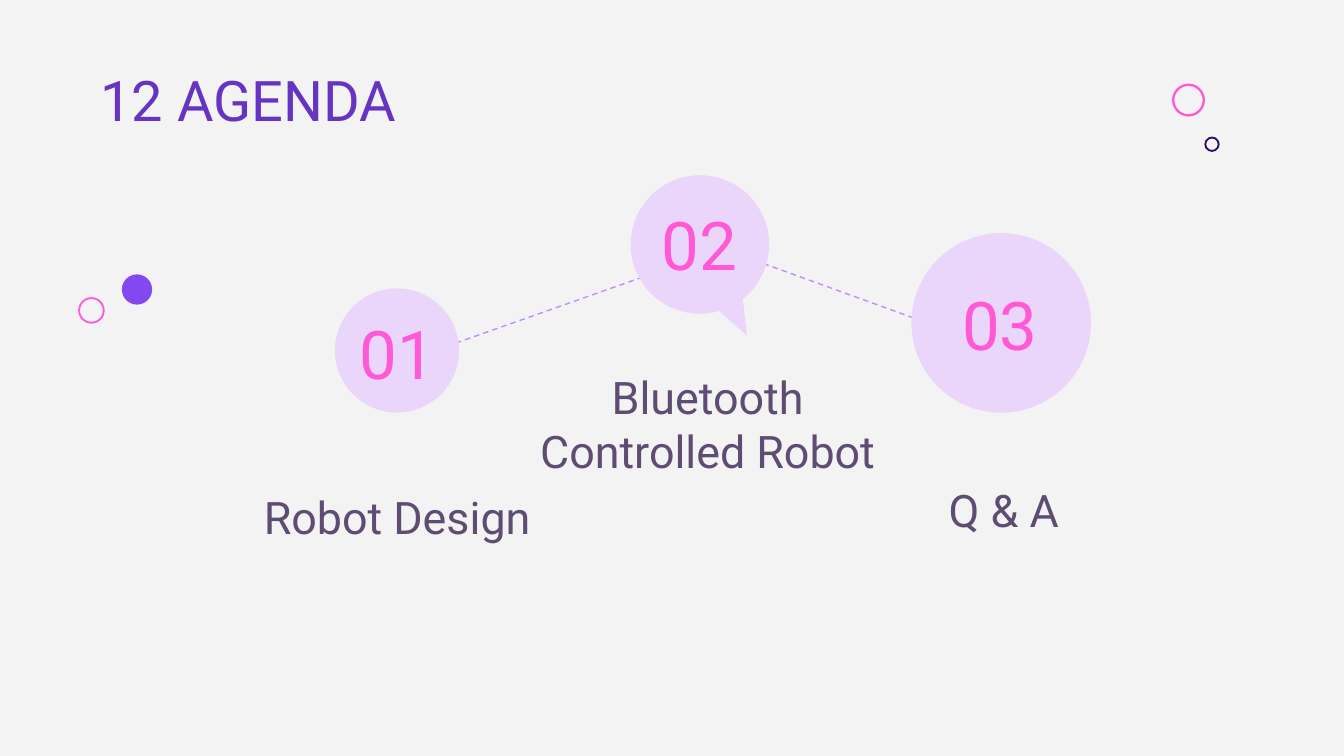
from pptx import Presentation
from pptx.dml.color import RGBColor
from pptx.enum.dml import MSO_LINE
from pptx.enum.shapes import MSO_CONNECTOR, MSO_SHAPE as SHAPE
from pptx.enum.text import MSO_ANCHOR as ANCHOR, PP_ALIGN as ALIGN
from pptx.oxml.ns import qn
from pptx.util import Pt
from lxml import etree

PINK, VIOLET, NAVY, LILAC = "FF59D6", "8348F0", "300D59", "EAD5FB"


def rgb(value):
    return RGBColor.from_string(value)


def add_text(text, box, size, color, align=ALIGN.CENTER, anchor=ANCHOR.MIDDLE):
    tf = s.shapes.add_textbox(*map(Pt, box)).text_frame
    tf.word_wrap = True
    tf.vertical_anchor = anchor
    tf.margin_left = tf.margin_right = tf.margin_top = tf.margin_bottom = Pt(7.2)
    p = tf.paragraphs[0]
    p.alignment = align
    r = p.add_run()
    r.text = text
    r.font.name, r.font.size = "Roboto", Pt(size)
    r.font.color.rgb = rgb(color)


prs = Presentation()
prs.slide_width, prs.slide_height = Pt(720), Pt(405)
s = prs.slides.add_slide(prs.slide_layouts[6])
s.background.fill.solid()
s.background.fill.fore_color.rgb = rgb("F3F3F3")

# Dashed links between the steps
for x1, y1, x2, y2 in [(375.1, 128.9, 532.1, 185.8), (210.2, 195.8, 377.3, 136.8)]:
    link = s.shapes.add_connector(MSO_CONNECTOR.STRAIGHT, Pt(x1), Pt(y1), Pt(x2), Pt(y2))
    link.line.color.rgb = rgb("C08CFF")
    link.line.width = Pt(0.75)
    link.line.dash_style = MSO_LINE.DASH
    etree.SubElement(link._element.spPr, qn("a:effectLst"))

# Decorative rings and dot, then step bubbles: centre, diameter, colour, ring width
circles = [
    (SHAPE.OVAL, 636.7, 53.6, 16.4, PINK, 1.25),
    (SHAPE.OVAL, 649.3, 77.3, 7.2, NAVY, 1),
    (SHAPE.OVAL, 73.4, 155.1, 16.2, VIOLET, 0),
    (SHAPE.OVAL, 49, 166.3, 13.2, PINK, 1),
    (SHAPE.OVAL, 212.7, 187.8, 66.5, LILAC, 0),
    (SHAPE.OVAL_CALLOUT, 375, 131, 74.2, LILAC, 0),
    (SHAPE.OVAL, 536.4, 173, 96.2, LILAC, 0),
]
for kind, x, y, d, color, ring in circles:
    sp = s.shapes.add_shape(kind, Pt(x - d / 2), Pt(y - d / 2), Pt(d), Pt(d))
    sp.shadow.inherit = False
    if ring:
        sp.fill.background()
        sp.line.color.rgb = rgb(color)
        sp.line.width = Pt(ring)
    else:
        sp.fill.solid()
        sp.fill.fore_color.rgb = rgb(color)
        sp.line.fill.background()
    if kind == SHAPE.OVAL_CALLOUT:
        sp.adjustments[0], sp.adjustments[1] = 0.34, 0.66

# Title
add_text("12 AGENDA", (46.8, 28.1, 530, 51.1), 30, "6634C3",
         align=ALIGN.LEFT, anchor=ANCHOR.TOP)

# Step numbers and labels
steps = [
    ("01", (184.3, 166.3, 56.9, 45.4), "Robot Design", (111.6, 231.1, 202.3, 67)),
    ("02", (322.6, 108, 104.4, 45.4), "Bluetooth Controlled Robot", (270, 211.7, 218.2, 51.1)),
    ("03", (488.2, 150.5, 95, 45.4), "Q & A", (426.2, 225.4, 223.2, 69.1)),
]
for number, number_box, label, label_box in steps:
    add_text(number, number_box, 36, PINK)
    add_text(label, label_box, 24, "5E4C72", anchor=ANCHOR.BOTTOM)

prs.save("out.pptx")
